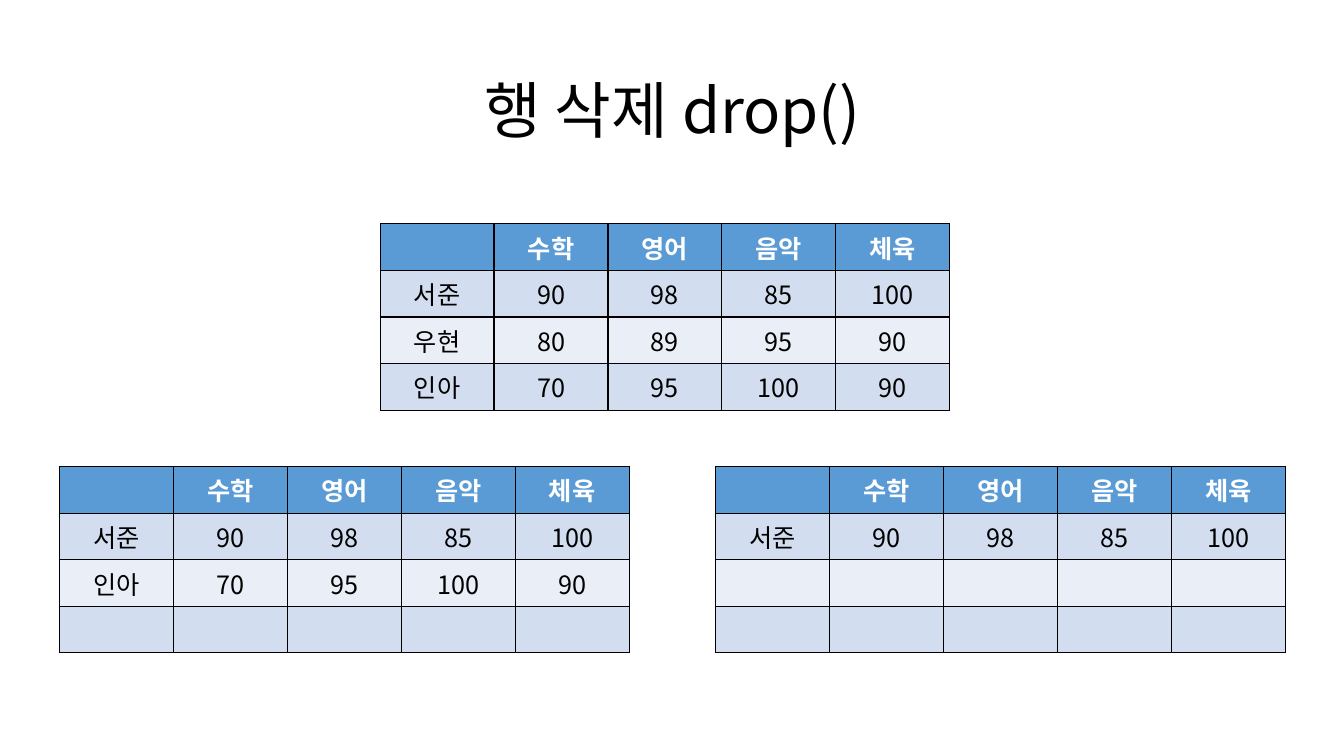
from lxml.etree import SubElement
from pptx import Presentation
from pptx.dml.color import RGBColor
from pptx.enum.text import MSO_ANCHOR, PP_ALIGN
from pptx.oxml.ns import qn
from pptx.util import Inches, Pt

FONT = "Noto Sans CJK KR"
BLACK = RGBColor(0x00, 0x00, 0x00)
WHITE = RGBColor(0xFF, 0xFF, 0xFF)
HEADER = RGBColor(0x5B, 0x9B, 0xD5)
BANDS = (RGBColor(0xEA, 0xEF, 0xF7), RGBColor(0xD2, 0xDE, 0xEF))

COL_W, ROW_H, ROWS = 1.13, 0.46, 4
SUBJECTS = ["", "수학", "영어", "음악", "체육"]
SEOJUN = ["서준", 90, 98, 85, 100]
WOOHYUN = ["우현", 80, 89, 95, 90]
INA = ["인아", 70, 95, 100, 90]
TABLES = [
    (3.77, 2.22, [SEOJUN, WOOHYUN, INA]),
    (0.59, 4.63, [SEOJUN, INA]),
    (7.1, 4.63, [SEOJUN]),
]


def write(p, text, color, **fmt):
    p.alignment = PP_ALIGN.CENTER
    r = p.add_run()
    r.text = str(text)
    for name, value in {"name": FONT, **fmt}.items():
        setattr(r.font, name, value)
    r.font.color.rgb = color
    SubElement(r.font._element, qn("a:ea"), typeface=FONT)


def add_title(slide, text):
    sp = slide.shapes.title
    box = {"left": 0.92, "top": 0.4, "width": 11.5, "height": 1.45}
    for name, value in box.items():
        setattr(sp, name, Inches(value))
    tf = sp.text_frame
    tf.word_wrap = True
    tf.vertical_anchor = MSO_ANCHOR.MIDDLE
    p = tf.paragraphs[0]
    p.line_spacing = 0.9
    write(p, text, BLACK, size=Pt(44))


def add_borders(cell):
    tc_pr = cell._tc.get_or_add_tcPr()
    for side in ("lnL", "lnR", "lnT", "lnB"):
        ln = SubElement(tc_pr, qn(f"a:{side}"), w=str(Pt(1)))
        fill = SubElement(ln, qn("a:solidFill"))
        SubElement(fill, qn("a:srgbClr"), val=str(BLACK))


def add_scores(slide, left, top, students):
    cols = len(SUBJECTS)
    table = slide.shapes.add_table(
        ROWS, cols, Inches(left), Inches(top),
        Inches(COL_W * cols), Inches(ROW_H * ROWS)).table
    lines = [SUBJECTS] + students
    for i in range(ROWS):
        is_header = i == 0
        for j in range(cols):
            cell = table.cell(i, j)
            add_borders(cell)
            cell.fill.solid()
            cell.fill.fore_color.rgb = HEADER if is_header else BANDS[i % 2]
            if i < len(lines) and lines[i][j] != "":
                write(cell.text_frame.paragraphs[0], lines[i][j],
                      WHITE if is_header else BLACK,
                      size=Pt(18), bold=is_header)


def main():
    prs = Presentation()
    prs.slide_width, prs.slide_height = Inches(13.33), Inches(7.5)
    slide = prs.slides.add_slide(prs.slide_layouts[5])
    add_title(slide, "행 삭제 drop()")
    for left, top, students in TABLES:
        add_scores(slide, left, top, students)
    prs.save("out.pptx")


if __name__ == "__main__":
    main()
